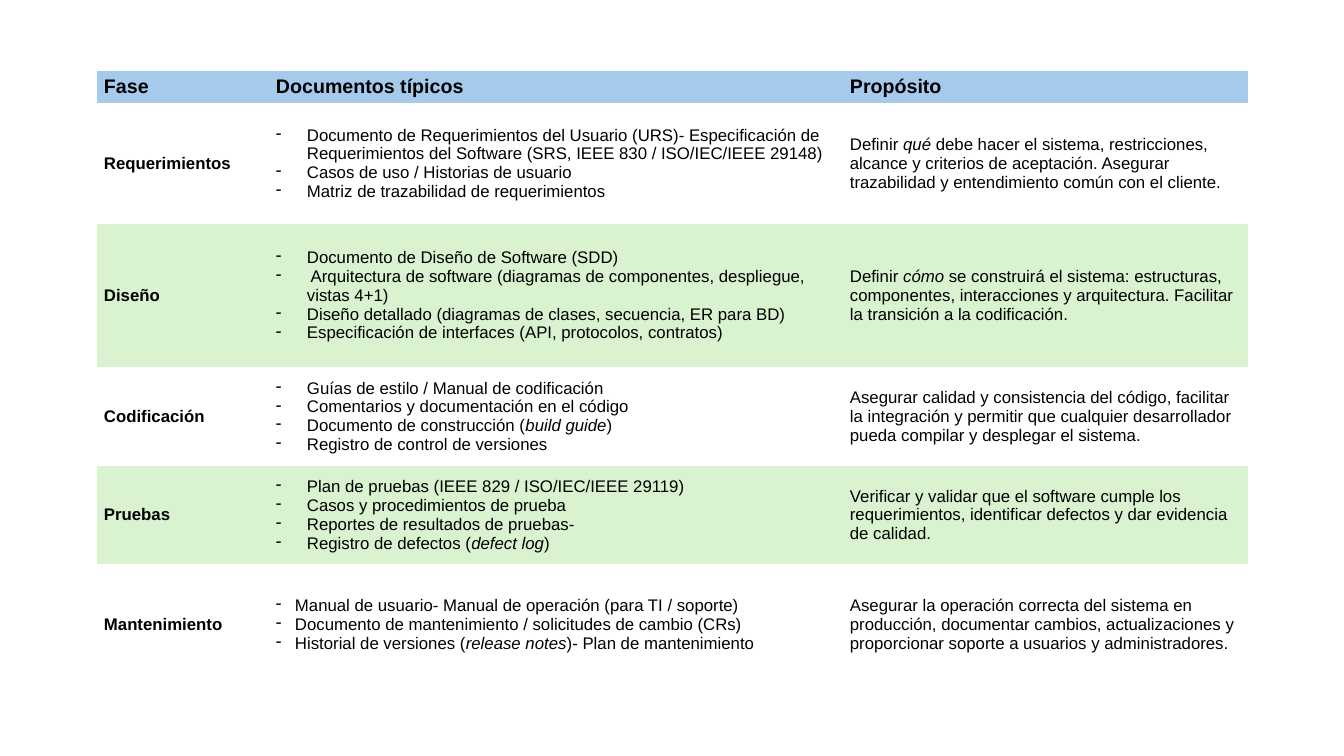
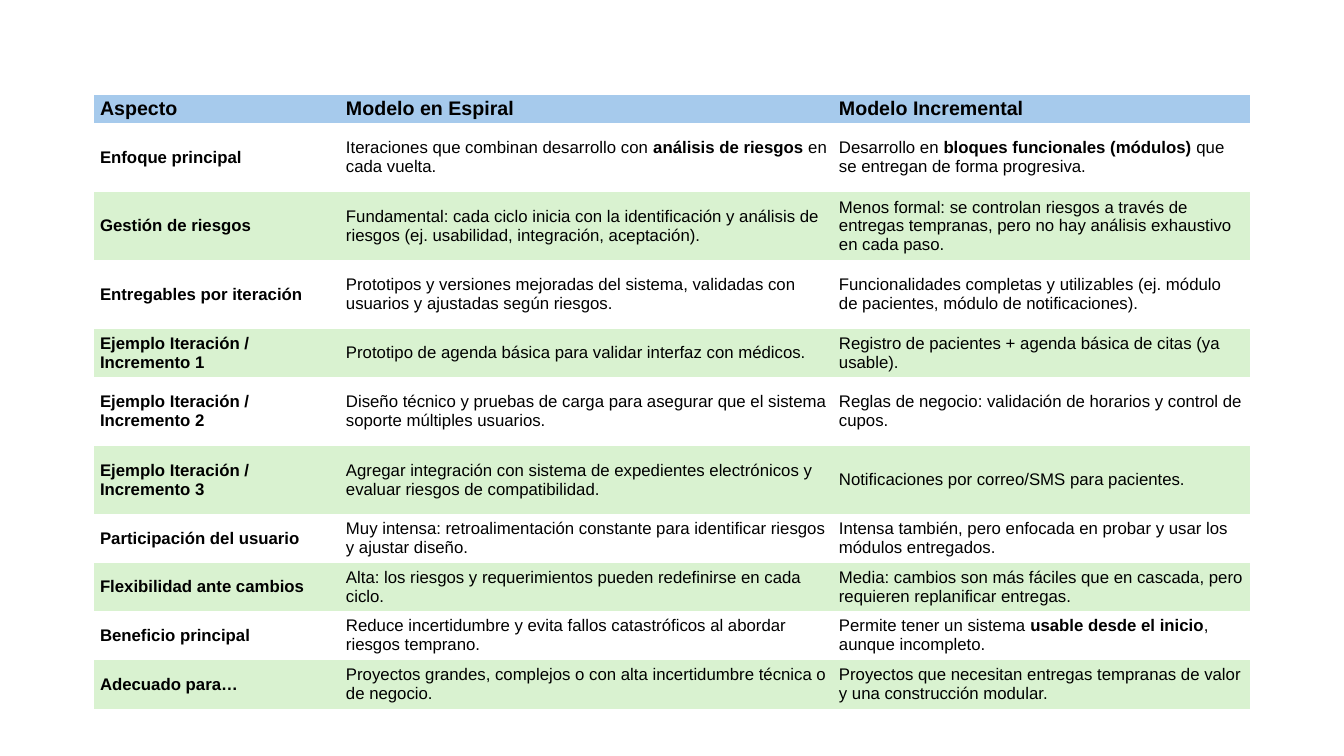
from collections import namedtuple

from lxml.etree import SubElement
from pptx import Presentation
from pptx.dml.color import RGBColor
from pptx.enum.text import MSO_ANCHOR
from pptx.oxml.ns import qn
from pptx.util import Emu, Pt

BLUE = RGBColor(0xA6, 0xCA, 0xEC)
GREEN = RGBColor(0xD9, 0xF2, 0xD0)
BLACK = RGBColor(0, 0, 0)
FONT = "Arial"
HEAD_SIZE, BODY_SIZE = 14, 12
SCALE = 914400 / 100.8
PLAIN_STYLE = "{2D5ABB26-0587-4C30-8999-92F81FD0307C}"

# A dashed list: its hanging indent in px and its lines
Dashes = namedtuple("Dashes", "hang lines")
# Grid geometry in px; accent is the style of text between asterisks
Grid = namedtuple("Grid", "left top cols rows pad_x pad_y accent")

PHASES = [
    ("Fase", "Documentos típicos", "Propósito"),
    ("Requerimientos",
     Dashes(31, [
         "Documento de Requerimientos del Usuario (URS)- Especificación de "
         "Requerimientos del Software (SRS, IEEE 830 / ISO/IEC/IEEE 29148)",
         "Casos de uso / Historias de usuario",
         "Matriz de trazabilidad de requerimientos"]),
     "Definir *qué* debe hacer el sistema, restricciones, alcance y criterios de "
     "aceptación. Asegurar trazabilidad y entendimiento común con el cliente."),
    ("Diseño",
     Dashes(31, [
         "Documento de Diseño de Software (SDD)",
         " Arquitectura de software (diagramas de componentes, despliegue, vistas 4+1)",
         "Diseño detallado (diagramas de clases, secuencia, ER para BD)",
         "Especificación de interfaces (API, protocolos, contratos)"]),
     "Definir *cómo* se construirá el sistema: estructuras, componentes, "
     "interacciones y arquitectura. Facilitar la transición a la codificación."),
    ("Codificación",
     Dashes(31, [
         "Guías de estilo / Manual de codificación",
         "Comentarios y documentación en el código",
         "Documento de construcción (*build guide*)",
         "Registro de control de versiones"]),
     "Asegurar calidad y consistencia del código, facilitar la integración y "
     "permitir que cualquier desarrollador pueda compilar y desplegar el sistema."),
    ("Pruebas",
     Dashes(31, [
         "Plan de pruebas (IEEE 829 / ISO/IEC/IEEE 29119)",
         "Casos y procedimientos de prueba",
         "Reportes de resultados de pruebas-",
         "Registro de defectos (*defect log*)"]),
     "Verificar y validar que el software cumple los requerimientos, identificar "
     "defectos y dar evidencia de calidad."),
    ("Mantenimiento",
     Dashes(19, [
         "Manual de usuario- Manual de operación (para TI / soporte)",
         "Documento de mantenimiento / solicitudes de cambio (CRs)",
         "Historial de versiones (*release notes*)- Plan de mantenimiento"]),
     "Asegurar la operación correcta del sistema en producción, documentar cambios, "
     "actualizaciones y proporcionar soporte a usuarios y administradores."),
]

MODELS = [
    ("Aspecto", "Modelo en Espiral", "Modelo Incremental"),
    ("Enfoque principal",
     "Iteraciones que combinan desarrollo con *análisis de riesgos* en cada vuelta.",
     "Desarrollo en *bloques funcionales (módulos)* que se entregan de forma progresiva."),
    ("Gestión de riesgos",
     "Fundamental: cada ciclo inicia con la identificación y análisis de riesgos "
     "(ej. usabilidad, integración, aceptación).",
     "Menos formal: se controlan riesgos a través de entregas tempranas, pero no hay "
     "análisis exhaustivo en cada paso."),
    ("Entregables por iteración",
     "Prototipos y versiones mejoradas del sistema, validadas con usuarios y "
     "ajustadas según riesgos.",
     "Funcionalidades completas y utilizables (ej. módulo de pacientes, módulo de "
     "notificaciones)."),
    ("Ejemplo Iteración / Incremento 1",
     "Prototipo de agenda básica para validar interfaz con médicos.",
     "Registro de pacientes + agenda básica de citas (ya usable)."),
    ("Ejemplo Iteración / Incremento 2",
     "Diseño técnico y pruebas de carga para asegurar que el sistema soporte "
     "múltiples usuarios.",
     "Reglas de negocio: validación de horarios y control de cupos."),
    ("Ejemplo Iteración / Incremento 3",
     "Agregar integración con sistema de expedientes electrónicos y evaluar riesgos "
     "de compatibilidad.",
     "Notificaciones por correo/SMS para pacientes."),
    ("Participación del usuario",
     "Muy intensa: retroalimentación constante para identificar riesgos y ajustar diseño.",
     "Intensa también, pero enfocada en probar y usar los módulos entregados."),
    ("Flexibilidad ante cambios",
     "Alta: los riesgos y requerimientos pueden redefinirse en cada ciclo.",
     "Media: cambios son más fáciles que en cascada, pero requieren replanificar entregas."),
    ("Beneficio principal",
     "Reduce incertidumbre y evita fallos catastróficos al abordar riesgos temprano.",
     "Permite tener un sistema *usable desde el inicio*, aunque incompleto."),
    ("Adecuado para…",
     "Proyectos grandes, complejos o con alta incertidumbre técnica o de negocio.",
     "Proyectos que necesitan entregas tempranas de valor y una construcción modular."),
]

PHASE_GRID = Grid(97, 71, [172, 574, 405], [32, 121, 143, 99, 98, 121], 7, 4, "italic")
MODEL_GRID = Grid(94, 95, [246, 493, 417],
                  [28, 69, 68, 69, 48, 69, 68, 49, 48, 49, 49], 6, 3, "bold")


def px(n):
    return Emu(round(n * SCALE))


def add_runs(para, text, size, bold, accent):
    for i, part in enumerate(text.split("*")):
        run = para.add_run()
        run.text = part
        font = run.font
        font.name, font.size, font.bold, font.italic = FONT, Pt(size), bold, False
        font.color.rgb = BLACK
        if i % 2:
            setattr(font, accent, True)


def add_dash(para, hang):
    props = para._p.get_or_add_pPr()
    props.set("marL", str(px(hang)))
    props.set("indent", str(-px(hang)))
    SubElement(props, qn("a:buChar")).set("char", "-")


def fill_cell(cell, item, row, col, grid):
    cell.vertical_anchor = MSO_ANCHOR.MIDDLE
    cell.margin_left = cell.margin_right = px(grid.pad_x)
    cell.margin_top = cell.margin_bottom = px(grid.pad_y)

    # Blue header, then white and green rows in turn
    if row % 2 and row:
        cell.fill.background()
    else:
        cell.fill.solid()
        cell.fill.fore_color.rgb = GREEN if row else BLUE

    size = BODY_SIZE if row else HEAD_SIZE
    bold = row == 0 or col == 0
    hang, lines = item if isinstance(item, Dashes) else (0, [item])
    frame = cell.text_frame
    for i, line in enumerate(lines):
        para = frame.add_paragraph() if i else frame.paragraphs[0]
        if hang:
            add_dash(para, hang)
        add_runs(para, line, size, bold, grid.accent)


def add_grid(deck, data, grid):
    slide = deck.slides.add_slide(deck.slide_layouts[6])
    frame = slide.shapes.add_table(
        len(grid.rows), len(grid.cols), px(grid.left), px(grid.top),
        px(sum(grid.cols)), px(sum(grid.rows)))
    table = frame.table
    table.horz_banding = False
    table._tbl.tblPr.find(qn("a:tableStyleId")).text = PLAIN_STYLE
    for col, width in zip(table.columns, grid.cols):
        col.width = px(width)
    for row, height in zip(table.rows, grid.rows):
        row.height = px(height)
    for r, items in enumerate(data):
        for c, item in enumerate(items):
            fill_cell(table.cell(r, c), item, r, c, grid)


def main():
    deck = Presentation()
    deck.slide_width, deck.slide_height = px(1344), px(756)
    add_grid(deck, PHASES, PHASE_GRID)
    add_grid(deck, MODELS, MODEL_GRID)
    deck.save("out.pptx")


if __name__ == "__main__":
    main()
